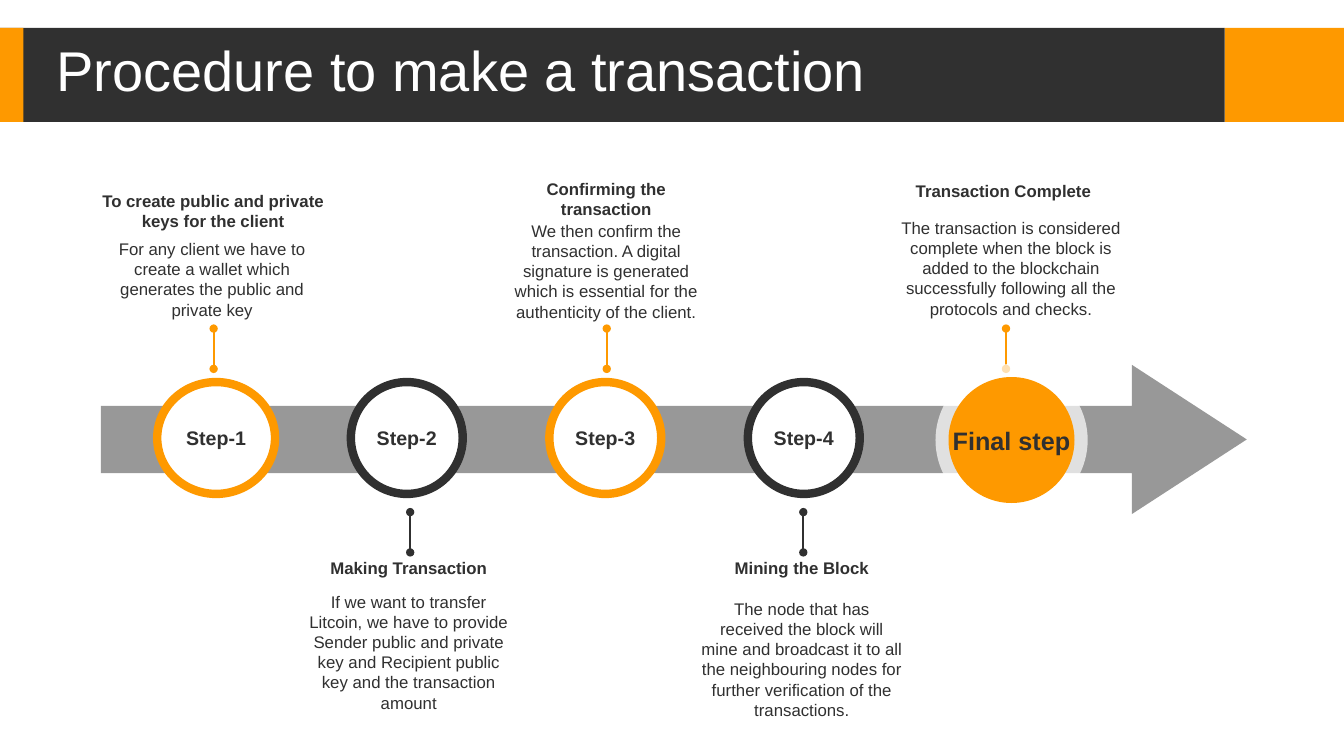
from lxml import etree
from pptx import Presentation
from pptx.dml.color import RGBColor
from pptx.enum import shapes as sh, text as tx
from pptx.oxml.ns import qn
from pptx.util import Pt

ORANGE, DARK, GREY, WHITE = "FE9900", "303030", "989898", "FFFFFF"

STEPS = [
    ("Step-1", 112.3, 84.2, ORANGE),
    ("Step-2", 250.6, 79.9, DARK),
    ("Step-3", 392.4, 79.9, ORANGE),
    ("Step-4", 534.2, 79.9, DARK),
]

NOTES = [
    ("To create public and private keys for the client", (57.6, 132.5, 189.4, 36),
     "For any client we have to create a wallet which generates the public "
     "and private key", (72.7, 167, 157.7, 65.5)),
    ("Making Transaction", (213.1, 394.6, 157.7, 21.6),
     "If we want to transfer Litcoin, we have to provide Sender public and "
     "private key and Recipient public key and the transaction amount",
     (213.1, 419, 157.7, 94.3)),
    ("Confirming the transaction", (354.2, 123.8, 157.7, 36),
     "We then confirm the transaction. A digital signature is generated which "
     "is essential for the authenticity of the client.", (354.2, 154.1, 157.7, 80)),
    ("Mining the Block", (493.9, 394.6, 157.7, 21.6),
     "The node that has received the block will mine and broadcast it to all "
     "the neighbouring nodes for further verification of the transactions.",
     (493.9, 424.1, 157.7, 94.3)),
    ("Transaction Complete", (637.9, 125.3, 157.7, 21.6),
     "The transaction is considered complete when the block is added to the "
     "blockchain successfully following all the protocols and checks.",
     (635.8, 151.9, 172.8, 80)),
]

STEMS = [
    (152.6, 263.5, 234.7, ORANGE),
    (433.4, 263.5, 234.7, ORANGE),
    (718.6, 263.5, 234.7, ORANGE),
    (573.8, 394.6, 365.8, DARK),
    (293, 394.6, 365.8, DARK),
]


def paint(color, value):
    """Give a color format a hex value."""
    color.rgb = RGBColor.from_string(value)


def write(para, words, size, color=DARK, bold=False, align=tx.PP_ALIGN.CENTER):
    """Add one formatted run to a paragraph."""
    para.alignment = align
    run = para.add_run()
    run.text = words
    run.font.name = "Arial"
    run.font.size = Pt(size)
    run.font.bold = bold
    paint(run.font.color, color)


def add_shape(slide, kind, box, fill, edge=None):
    """Add a filled shape, with a thick edge if a colour is given."""
    item = slide.shapes.add_shape(kind, *map(Pt, box))
    item.shadow.inherit = False
    item.fill.solid()
    paint(item.fill.fore_color, fill)
    if edge:
        paint(item.line.color, edge)
        item.line.width = Pt(6)
    else:
        item.line.fill.background()
    return item


def add_disc(slide, box, words, size, fill, edge=None):
    """Add a circle with a bold label on one line."""
    disc = add_shape(slide, sh.MSO_SHAPE.OVAL, box, fill, edge)
    frame = disc.text_frame
    frame.word_wrap = False
    frame.vertical_anchor = tx.MSO_ANCHOR.MIDDLE
    frame.margin_left = frame.margin_right = 0
    write(frame.paragraphs[0], words, size, bold=True)


def add_text(slide, box, words, bold=False):
    """Add a centred, wrapping text box."""
    frame = slide.shapes.add_textbox(*map(Pt, box)).text_frame
    frame.word_wrap = True
    write(frame.paragraphs[0], words, 12, bold=bold)


def add_stem(slide, x, start, end, color):
    """Add an upright line with a dot at each end."""
    stem = slide.shapes.add_connector(
        sh.MSO_CONNECTOR.STRAIGHT, Pt(x), Pt(start), Pt(x), Pt(end))
    paint(stem.line.color, color)
    stem.line.width = Pt(1.5)
    line = stem.line._get_or_add_ln()
    for end_tag in ("a:headEnd", "a:tailEnd"):
        etree.SubElement(line, qn(end_tag), type="oval")
    etree.SubElement(stem._element.spPr, qn("a:effectLst"))


def add_title(slide, words):
    """Draw the banner and set the title on it."""
    for left, width, fill in ((874.8, 85.2, ORANGE), (0, 874.8, DARK), (0, 16.8, ORANGE)):
        add_shape(slide, sh.MSO_SHAPE.RECTANGLE, (left, 20, width, 67), fill)
    title = slide.shapes.title
    title.left, title.top, title.width, title.height = map(Pt, (33.1, 24, 698.4, 57))
    slide.shapes._spTree.append(title._element)
    frame = title.text_frame
    frame.auto_size = tx.MSO_AUTO_SIZE.NONE
    frame.word_wrap = True
    frame.vertical_anchor = tx.MSO_ANCHOR.MIDDLE
    frame.paragraphs[0].line_spacing = 0.9
    write(frame.paragraphs[0], words, 40, WHITE, align=tx.PP_ALIGN.LEFT)


def add_final(slide):
    """Draw the last step with its see-through halo."""
    halo = add_shape(slide, sh.MSO_SHAPE.OVAL, (668.2, 260, 108.7, 108.7), WHITE)
    color = halo.fill._xPr.find(qn("a:solidFill"))[0]
    etree.SubElement(color, qn("a:alpha"), val="70000")
    add_disc(slide, (677.5, 269.3, 90, 90), "Final step", 18, ORANGE)


def main():
    """Build and save the slide."""
    deck = Presentation()
    deck.slide_width, deck.slide_height = Pt(960), Pt(540)
    slide = deck.slides.add_slide(deck.slide_layouts[5])
    add_title(slide, "Procedure to make a transaction")
    arrow = add_shape(slide, sh.MSO_SHAPE.RIGHT_ARROW, (72, 260.6, 818.6, 106.6), GREY)
    arrow.adjustments[0], arrow.adjustments[1] = 0.45, 0.77
    for head, top, body, box in NOTES:
        add_text(slide, top, head, bold=True)
        add_text(slide, box, body)
    for name, left, width, edge in STEPS:
        add_disc(slide, (left, 272.9, width, 79.9), name, 14, WHITE, edge)
    for stem in STEMS:
        add_stem(slide, *stem)
    add_final(slide)
    deck.save("out.pptx")


if __name__ == "__main__":
    main()
